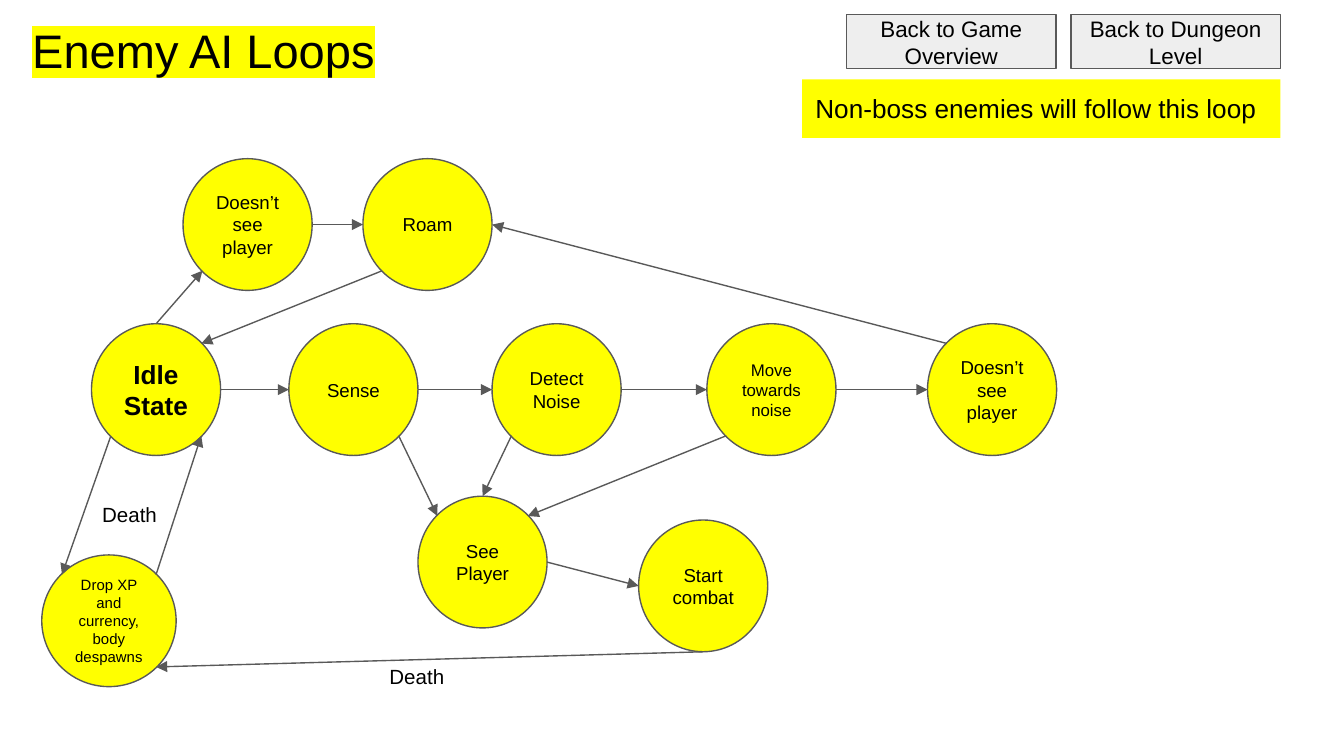
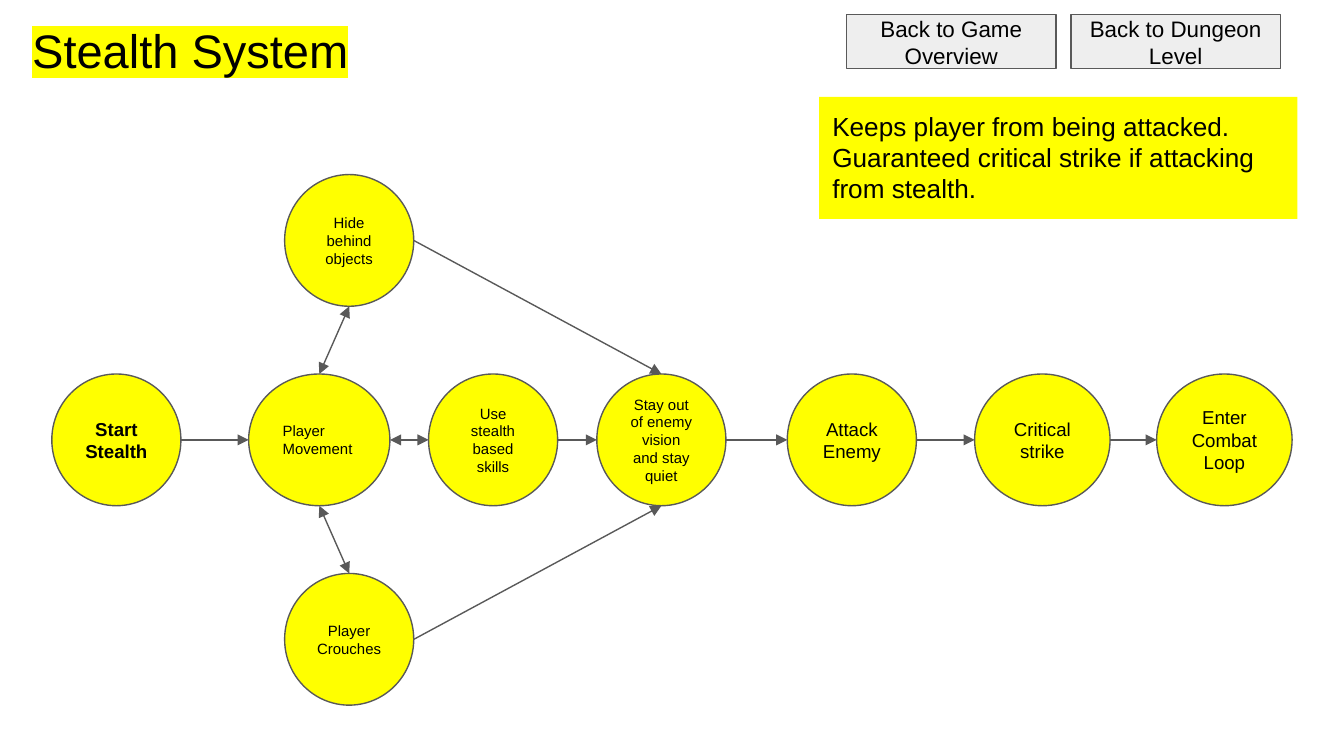
from dataclasses import dataclass

from lxml import etree
from pptx import Presentation
from pptx.dml.color import RGBColor
from pptx.enum.shapes import MSO_CONNECTOR, MSO_SHAPE
from pptx.enum.text import MSO_ANCHOR, MSO_AUTO_SIZE, PP_ALIGN
from pptx.oxml.ns import qn
from pptx.util import Cm, Pt

OVAL = MSO_SHAPE.OVAL
RECTANGLE = MSO_SHAPE.RECTANGLE
STRAIGHT = MSO_CONNECTOR.STRAIGHT
MIDDLE, UPPER = MSO_ANCHOR.MIDDLE, MSO_ANCHOR.TOP
GROW = MSO_AUTO_SIZE.SHAPE_TO_FIT_TEXT
CENTER, FLUSH_LEFT = PP_ALIGN.CENTER, PP_ALIGN.LEFT


@dataclass(frozen=True)
class Theme:
    font: str = "Arial"
    ink: RGBColor = RGBColor(0, 0, 0)
    outline: RGBColor = RGBColor(0x59, 0x59, 0x59)
    button: RGBColor = RGBColor(0xEE, 0xEE, 0xEE)
    accent: RGBColor = RGBColor(0xFF, 0xFF, 0)
    line_width: float = 0.75
    title: float = 25.2
    callout: int = 14
    start_state: int = 14
    nav: int = 12
    label: int = 11
    state: int = 10
    state_small: int = 9
    state_tiny: int = 8


THEME = Theme()
STATE_WIDTH, STATE_HEIGHT = 2.44, 2.49

# Connection sites of an oval, counter-clockwise from the top, as box fractions
NEAR, FAR = 0.15, 0.85
SITES = [(0.5, 0), (NEAR, NEAR), (0, 0.5), (NEAR, FAR),
         (0.5, 1), (FAR, FAR), (1, 0.5), (FAR, NEAR)]
(TOP, TOP_LEFT, LEFT, BOTTOM_LEFT,
 BOTTOM, BOTTOM_RIGHT, RIGHT, TOP_RIGHT) = range(8)


def write(shape, text, size, align=FLUSH_LEFT, anchor=UPPER, bold=False):
    frame = shape.text_frame
    frame.text = text
    frame.word_wrap = True
    frame.vertical_anchor = anchor
    frame.margin_left = frame.margin_right = Cm(0.25)
    frame.margin_top = frame.margin_bottom = Cm(0.25)
    paragraph = frame.paragraphs[0]
    paragraph.alignment = align
    run = paragraph.runs[0]
    run.font.name = THEME.font
    run.font.size = Pt(size)
    run.font.bold = bold
    run.font.color.rgb = THEME.ink
    return run


def add_filled(slide, kind, box, fill, outlined=True):
    shape = slide.shapes.add_shape(kind, *map(Cm, box))
    shape.shadow.inherit = False
    shape.fill.solid()
    shape.fill.fore_color.rgb = fill
    if outlined:
        shape.line.color.rgb = THEME.outline
        shape.line.width = Pt(THEME.line_width)
    else:
        shape.line.fill.background()
    return shape


def add_title(slide, text):
    title = slide.shapes.add_textbox(Cm(0.36), Cm(0.14), Cm(23.67), Cm(1.6))
    run = write(title, text, THEME.title, anchor=MIDDLE)
    # Highlight sits right after the text fill
    highlight = etree.Element(qn("a:highlight"))
    etree.SubElement(highlight, qn("a:srgbClr"), val=str(THEME.accent))
    run.font._element.find(qn("a:solidFill")).addnext(highlight)


def add_nav_buttons(slide):
    for i, text in enumerate(["Back to Game Overview", "Back to Dungeon Level"]):
        button = add_filled(slide, RECTANGLE, (16 + 4.24 * i, 0.28, 3.96, 1.02),
                            THEME.button)
        write(button, text, THEME.nav, CENTER, MIDDLE)


def add_callout(slide, text, left, top, height):
    callout = add_filled(slide, RECTANGLE, (left, top, 9.04, height),
                         THEME.accent, outlined=False)
    write(callout, text, THEME.callout)
    callout.text_frame.auto_size = GROW


def add_label(slide, text, left, top):
    label = slide.shapes.add_textbox(Cm(left), Cm(top), Cm(2.54), Cm(0.99))
    write(label, text, THEME.label)
    label.text_frame.auto_size = GROW


def add_state(slide, text, left, top, size=THEME.state, width=STATE_WIDTH,
              bold=False, align=CENTER):
    state = add_filled(slide, OVAL, (left, top, width, STATE_HEIGHT), THEME.accent)
    write(state, text, size, align, MIDDLE, bold)
    return state


def site_point(state, site):
    across, down = SITES[site]
    return (int(state.left + across * state.width),
            int(state.top + down * state.height))


def add_arrow(slide, source, source_site, target, target_site, both_ways=False):
    arrow = slide.shapes.add_connector(
        STRAIGHT, *site_point(source, source_site), *site_point(target, target_site))
    arrow.line.color.rgb = THEME.outline
    arrow.line.width = Pt(THEME.line_width)
    properties = arrow._element.spPr
    line = properties.find(qn("a:ln"))
    for end in ["a:headEnd", "a:tailEnd"] if both_ways else ["a:tailEnd"]:
        etree.SubElement(line, qn(end), type="triangle")
    etree.SubElement(properties, qn("a:effectLst"))
    # Glue both ends to the states
    glue = arrow._element.nvCxnSpPr.cNvCxnSpPr
    for tag, state, site in [("a:stCxn", source, source_site),
                             ("a:endCxn", target, target_site)]:
        etree.SubElement(glue, qn(tag), id=str(state.shape_id), idx=str(site))


def start_slide(deck, title):
    slide = deck.slides.add_slide(deck.slide_layouts[6])
    add_title(slide, title)
    add_nav_buttons(slide)
    return slide


def build_enemy_loops(deck):
    slide = start_slide(deck, "Enemy AI Loops")
    add_callout(slide, "Non-boss enemies will follow this loop", 15.16, 1.5, 1.11)

    # States
    roam_row, main_row = 3, 6.12
    unseen = add_state(slide, "Doesn’t see player", 3.46, roam_row)
    roam = add_state(slide, "Roam", 6.86, roam_row)
    idle = add_state(slide, "Idle State", 1.73, main_row, THEME.start_state, bold=True)
    sense = add_state(slide, "Sense", 5.46, main_row)
    detect = add_state(slide, "Detect Noise", 9.3, main_row)
    move = add_state(slide, "Move towards noise", 13.36, main_row, THEME.state_small)
    lost = add_state(slide, "Doesn’t see player", 17.53, main_row)
    see = add_state(slide, "See Player", 7.9, 9.38)
    combat = add_state(slide, "Start combat", 12.07, 9.83)
    drop = add_state(slide, "Drop XP and currency, body despawns", 0.79, 10.49,
                     THEME.state_tiny, width=2.54)

    # Transitions
    main_chain = [idle, sense, detect, move, lost]
    for source, target in [*zip(main_chain, main_chain[1:]),
                           (unseen, roam), (see, combat)]:
        add_arrow(slide, source, RIGHT, target, LEFT)
    add_arrow(slide, idle, TOP, unseen, BOTTOM_LEFT)
    add_arrow(slide, roam, BOTTOM_LEFT, idle, TOP_RIGHT)
    add_arrow(slide, lost, TOP_LEFT, roam, RIGHT)
    add_arrow(slide, sense, BOTTOM_RIGHT, see, TOP_LEFT)
    add_arrow(slide, detect, BOTTOM_LEFT, see, TOP)
    add_arrow(slide, move, BOTTOM_LEFT, see, TOP_RIGHT)
    add_arrow(slide, idle, BOTTOM_LEFT, drop, TOP_LEFT)
    add_arrow(slide, drop, TOP_RIGHT, idle, BOTTOM_RIGHT)
    add_arrow(slide, combat, BOTTOM, drop, BOTTOM_RIGHT)

    for left, top in [(1.68, 9.25), (7.11, 12.32)]:
        add_label(slide, "Death", left, top)


def build_stealth_system(deck):
    slide = start_slide(deck, "Stealth System")
    add_callout(slide, "Keeps player from being attacked. Guaranteed critical "
                       "strike if attacking from stealth.", 15.48, 1.83, 2.31)

    # States
    main_row, row_step, branch_left = 7.07, 3.77, 5.38
    tiny = THEME.state_tiny
    start = add_state(slide, "Start Stealth", 0.98, main_row, bold=True)
    movement = add_state(slide, "Player Movement", 4.7, main_row, tiny,
                         width=2.67, align=FLUSH_LEFT)
    skills = add_state(slide, "Use stealth based skills", 8.1, main_row, tiny)
    hidden = add_state(slide, "Stay out of enemy vision and stay quiet",
                       11.28, main_row, tiny)
    attack = add_state(slide, "Attack Enemy", 14.88, main_row)
    strike = add_state(slide, "Critical strike", 18.42, main_row, width=2.56)
    combat = add_state(slide, "Enter Combat Loop", 21.86, main_row, width=2.56)
    hide = add_state(slide, "Hide behind objects", branch_left,
                     main_row - row_step, tiny)
    crouch = add_state(slide, "Player Crouches", branch_left,
                       main_row + row_step, tiny)

    # Transitions
    main_chain = [start, movement, skills, hidden, attack, strike, combat]
    for source, target in zip(main_chain, main_chain[1:]):
        add_arrow(slide, source, RIGHT, target, LEFT, both_ways=source is movement)
    add_arrow(slide, hide, BOTTOM, movement, TOP, both_ways=True)
    add_arrow(slide, movement, BOTTOM, crouch, TOP, both_ways=True)
    add_arrow(slide, hide, RIGHT, hidden, TOP)
    add_arrow(slide, crouch, RIGHT, hidden, BOTTOM)


def main():
    deck = Presentation()
    deck.slide_width, deck.slide_height = Cm(25.4), Cm(14.29)
    build_enemy_loops(deck)
    build_stealth_system(deck)
    deck.save("out.pptx")


if __name__ == "__main__":
    main()
